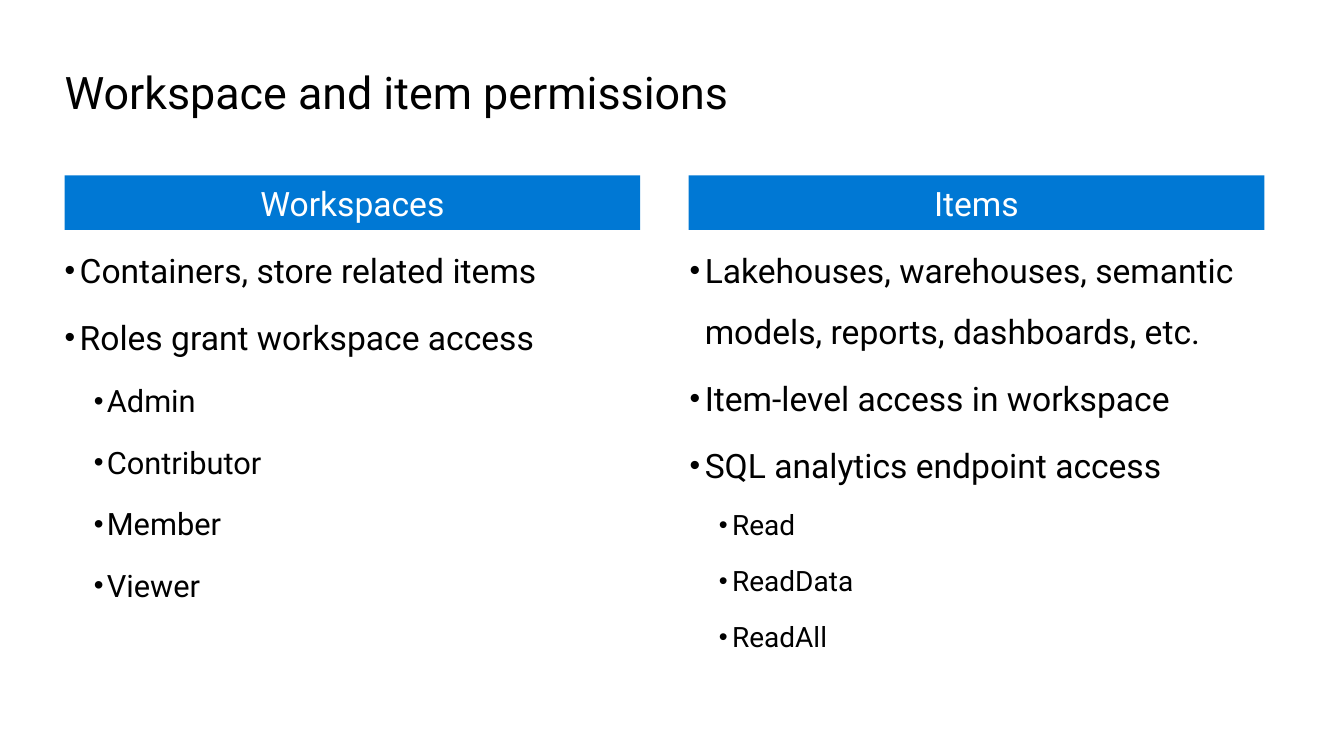
from lxml import etree
from pptx import Presentation
from pptx.dml.color import RGBColor
from pptx.enum.text import MSO_ANCHOR, MSO_AUTO_SIZE, PP_ALIGN
from pptx.oxml.ns import qn
from pptx.util import Pt

LEFT, CENTER = PP_ALIGN.LEFT, PP_ALIGN.CENTER
TOP, MIDDLE = MSO_ANCHOR.TOP, MSO_ANCHOR.MIDDLE
GROW, FIXED = MSO_AUTO_SIZE.SHAPE_TO_FIT_TEXT, MSO_AUTO_SIZE.NONE

BLACK = RGBColor(0x00, 0x00, 0x00)
WHITE = RGBColor(0xFF, 0xFF, 0xFF)
BLUE = RGBColor(0x00, 0x78, 0xD4)

EMU_PER_PX = 9144  # 100 px to the inch
COMPARISON_LAYOUT = 4
INDENTS = [(15, -15), (42, -13)]  # left margin and first line, by level

# Left edges of header and list, list size, heading, sub-item size, items (level, text)
COLUMNS = [
    (64, 64, (571, 374), "Workspaces", 22, [
        (0, "Containers, store related items"),
        (0, "Roles grant workspace access"),
        (1, "Admin"),
        (1, "Contributor"),
        (1, "Member"),
        (1, "Viewer"),
    ]),
    (683, 684, (567, 479), "Items", 20, [
        (0, "Lakehouses, warehouses, semantic models, reports, dashboards, etc."),
        (0, "Item-level access in workspace"),
        (0, "SQL analytics endpoint access"),
        (1, "Read"),
        (1, "ReadData"),
        (1, "ReadAll"),
    ]),
]


def px(length):
    return length * EMU_PER_PX


def write(para, text, size=24, color=BLACK, align=LEFT, font="Roboto"):
    para.alignment = align
    span = para.add_run()
    span.text = text
    span.font.name = font
    span.font.size = Pt(size)
    span.font.bold = False
    span.font.color.rgb = color


def add_bullet(para, level):
    para.level = level
    properties = para._p.get_or_add_pPr()
    margin, first_line = INDENTS[level]
    properties.set("marL", str(px(margin)))
    properties.set("indent", str(px(first_line)))
    for tag, name, value in (("a:buSzPct", "val", "90000"),
                             ("a:buFont", "typeface", "Arial"),
                             ("a:buChar", "char", "•")):
        etree.SubElement(properties, qn(tag)).set(name, value)


class SlideBuilder:
    def __init__(self, deck):
        self.slide = deck.slides.add_slide(deck.slide_layouts[COMPARISON_LAYOUT])

    def place(self, index, left, top, width, height, anchor=TOP, fit=GROW):
        """Move a placeholder, clear its insets and return it."""
        box = self.slide.placeholders[index]
        box.left, box.top = px(left), px(top)
        box.width, box.height = px(width), px(height)
        frame = box.text_frame
        frame.margin_left = frame.margin_right = 0
        frame.margin_top = frame.margin_bottom = 0
        frame.word_wrap = True
        frame.vertical_anchor = anchor
        frame.auto_size = fit
        return box

    def title(self, text):
        box = self.place(0, 64, 64, 896, 54)
        write(box.text_frame.paragraphs[0], text, size=32)

    def header(self, index, left, text):
        box = self.place(index, left, 174, 571, 54, anchor=MIDDLE, fit=FIXED)
        box.fill.solid()
        box.fill.fore_color.rgb = BLUE
        para = box.text_frame.paragraphs[0]
        para.space_before = Pt(0)
        write(para, text, color=WHITE, align=CENTER)

    def bullets(self, index, left, extent, items, sub_size):
        frame = self.place(index, left, 228, *extent).text_frame
        for number, (level, text) in enumerate(items):
            para = frame.add_paragraph() if number else frame.paragraphs[0]
            size = sub_size if level else 24
            para.line_spacing = 1.5
            para.space_before = Pt(round(size * 0.2, 1) if number else 0)
            add_bullet(para, level)
            write(para, text, size=size)


def main():
    deck = Presentation()
    deck.slide_width, deck.slide_height = px(1333), px(750)
    page = SlideBuilder(deck)
    page.title("Workspace and item permissions")
    for number, column in enumerate(COLUMNS):
        header_left, list_left, extent, heading, sub_size, items = column
        page.header(2 * number + 1, header_left, heading)
        page.bullets(2 * number + 2, list_left, extent, items, sub_size)
    deck.save("out.pptx")


if __name__ == "__main__":
    main()
